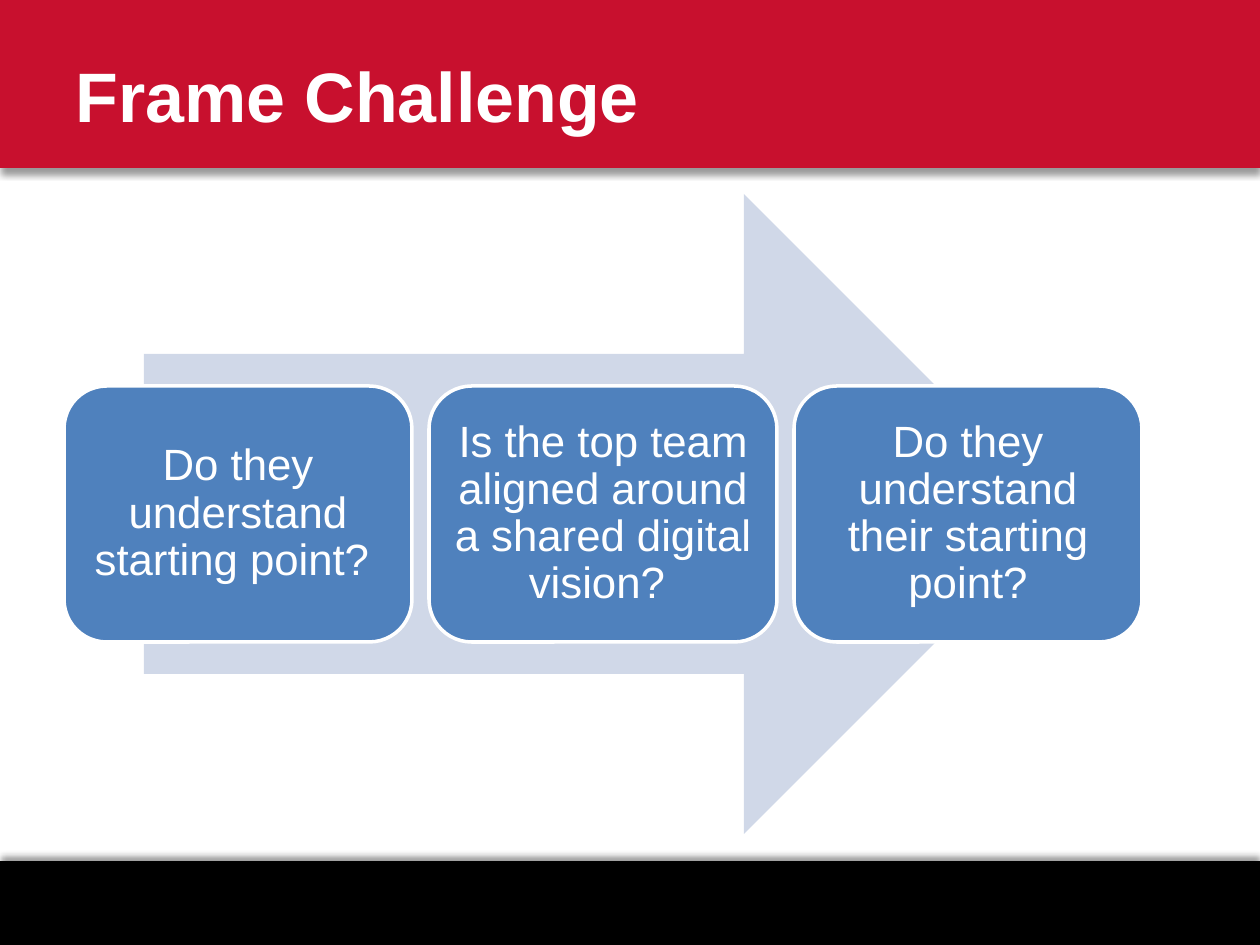
import pptx
import pptx.util
import pptx.dml.color
import pptx.enum.shapes
import pptx.enum.text
import pptx.oxml

KIND = pptx.enum.shapes.MSO_SHAPE
ALIGN = pptx.enum.text.PP_ALIGN
MID = pptx.enum.text.MSO_ANCHOR.MIDDLE
NS = "http://schemas.openxmlformats.org/drawingml/2006/main"
SCALE = 914400 / 126


def paint(target, color):
    target.solid()
    target.fore_color.rgb = pptx.dml.color.RGBColor.from_string(color)


def write(shape, words, size, align, bold=False):
    frame = shape.text_frame
    frame.word_wrap = True
    frame.vertical_anchor = MID
    para = frame.paragraphs[0]
    para.alignment = align
    run = para.add_run()
    run.text = words
    run.font.name = "Arial"
    run.font.size = pptx.util.Pt(size)
    run.font.bold = bold
    paint(run.font.fill, "FFFFFF")
    return frame


deck = pptx.Presentation()
deck.slide_width = pptx.util.Inches(10)
deck.slide_height = pptx.util.Inches(7.5)
slide = deck.slides.add_slide(deck.slide_layouts[6])
shapes = slide.shapes
paint(slide.background.fill, "FFFFFF")

bars = [(861, 84, "000000", 270), (0, 168, "C8102E", 90)]
for top, height, color, angle in bars:
    place = [round(n * SCALE) for n in (0, top, 1260, height)]
    bar = shapes.add_shape(KIND.RECTANGLE, *place)
    paint(bar.fill, color)
    bar.line.fill.background()
    bar.shadow.inherit = False
    shade = pptx.oxml.parse_xml(
        f'<a:effectLst xmlns:a="{NS}"><a:outerShdw blurRad="50800" dist="38100" '
        f'dir="{angle * 60000}" algn="ctr" rotWithShape="0"><a:srgbClr val="000000">'
        '<a:alpha val="40000"/></a:srgbClr></a:outerShdw></a:effectLst>')
    old = bar.fill._xPr.find(f"{{{NS}}}effectLst")
    old.getparent().replace(old, shade)

place = [round(n * SCALE) for n in (144, 194, 920, 640)]
arrow = shapes.add_shape(KIND.RIGHT_ARROW, *place)
paint(arrow.fill, "D0D8E8")
arrow.line.fill.background()
arrow.shadow.inherit = False

asks = [
    "Do they understand starting point? ",
    "Is the top team aligned around a shared digital vision? ",
    "Do they understand their starting point?",
]
for col, words in enumerate(asks):
    place = [round(n * SCALE) for n in (64 + col * 365, 386, 348, 256)]
    card = shapes.add_shape(KIND.ROUNDED_RECTANGLE, *place)
    paint(card.fill, "4F81BD")
    paint(card.line.fill, "FFFFFF")
    card.line.width = pptx.util.Pt(2)
    card.shadow.inherit = False
    frame = write(card, words, 25, ALIGN.CENTER)
    frame.paragraphs[0].line_spacing = 0.9
    inset = pptx.util.Inches(0.1)
    frame.margin_left = frame.margin_right = inset
    frame.margin_top = frame.margin_bottom = inset

place = [round(n * SCALE) for n in (63, 21, 1040, 147)]
title = shapes.add_textbox(*place)
write(title, "Frame Challenge", 40, ALIGN.LEFT, True)

deck.save("out.pptx")
